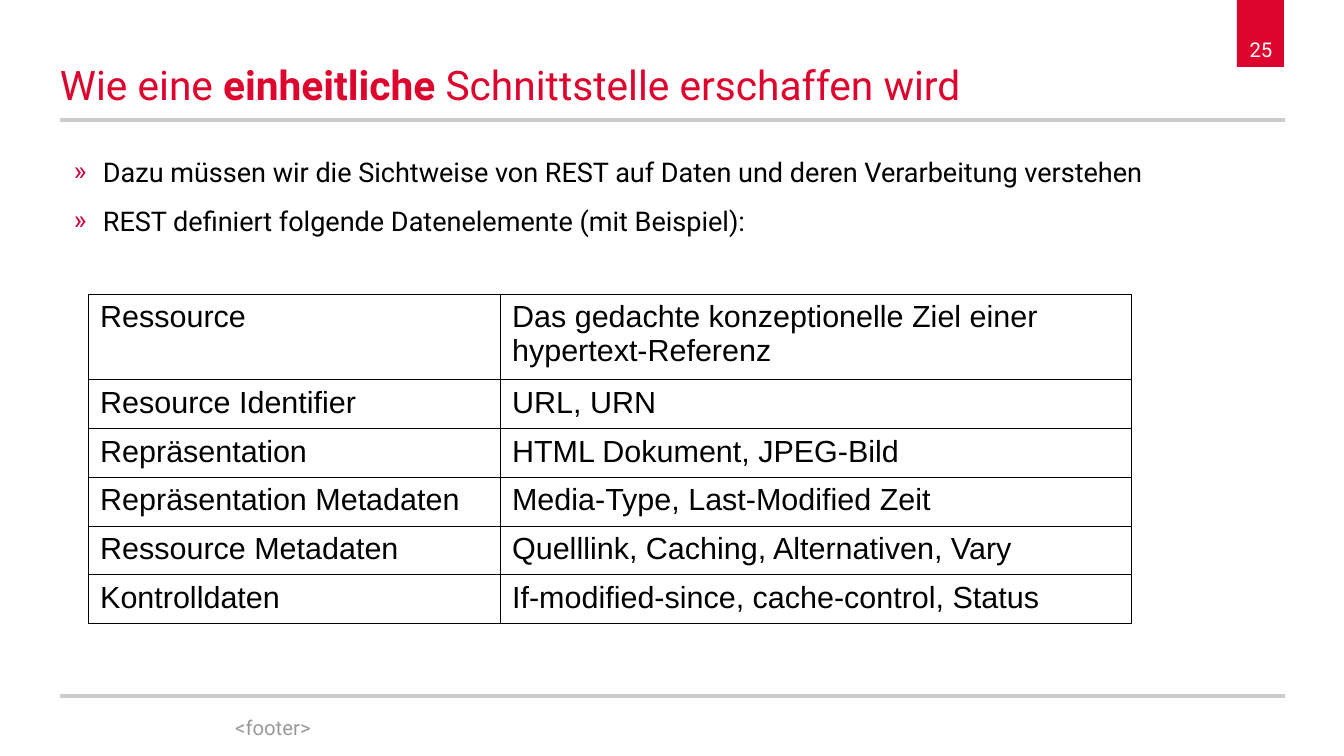
from lxml.etree import SubElement
from pptx import Presentation
from pptx.dml.color import RGBColor
from pptx.enum.shapes import MSO_CONNECTOR, MSO_SHAPE
from pptx.enum.text import MSO_ANCHOR as ANCHOR, PP_ALIGN as ALIGN
from pptx.oxml.ns import qn
from pptx.util import Emu, Pt

RED = RGBColor(0xDD, 0x04, 0x2D)
BULLET_RED = RGBColor(0xD0, 0x00, 0x3A)
RULE_GREY = RGBColor(0xCC, 0xCC, 0xCC)
FOOTER_GREY = RGBColor(0x99, 0x99, 0x99)
BLACK = RGBColor(0, 0, 0)
WHITE = RGBColor(0xFF, 0xFF, 0xFF)

PX = 914400 / 122
WIDTH, HEIGHT = 1344, 756
LEFT, RIGHT = 60, 1285
CONTENT_WIDTH = RIGHT - LEFT

TITLE = [("Wie eine ", False), ("einheitliche", True),
         (" Schnittstelle erschaffen wird", False)]
POINTS = [
    "Dazu müssen wir die Sichtweise von REST auf Daten und deren Verarbeitung verstehen",
    "REST definiert folgende Datenelemente (mit Beispiel):",
]
DATA_ELEMENTS = [
    ("Ressource", "Das gedachte konzeptionelle Ziel einer hypertext-Referenz"),
    ("Resource Identifier", "URL, URN"),
    ("Repräsentation", "HTML Dokument, JPEG-Bild"),
    ("Repräsentation Metadaten", "Media-Type, Last-Modified Zeit"),
    ("Ressource Metadaten", "Quelllink, Caching, Alternativen, Vary"),
    ("Kontrolldaten", "If-modified-since, cache-control, Status"),
]


def px(*lengths):
    return [Emu(round(length * PX)) for length in lengths]


class SlideBuilder:
    font = "Roboto"
    table_font = "Arial"

    def __init__(self, slide):
        self.slide = slide
        self.shapes = slide.shapes

    def style(self, run, size, color, font=None, bold=False):
        run.font.name = font or self.font
        run.font.size = Pt(size)
        run.font.color.rgb = color
        run.font.bold = bold

    def prepare_frame(self, frame, anchor):
        frame.word_wrap = True
        frame.vertical_anchor = anchor
        frame.margin_left = frame.margin_right = 0
        frame.margin_top = frame.margin_bottom = 0

    def title(self, parts, x, y, w, h):
        heading = self.shapes.title
        heading.left, heading.top, heading.width, heading.height = px(x, y, w, h)
        self.prepare_frame(heading.text_frame, ANCHOR.MIDDLE)
        paragraph = heading.text_frame.paragraphs[0]
        paragraph.alignment = ALIGN.LEFT
        for text, bold in parts:
            run = paragraph.add_run()
            run.text = text
            self.style(run, 24, RED, bold=bold)

    def block(self, x, y, w, h, color):
        block = self.shapes.add_shape(MSO_SHAPE.RECTANGLE, *px(x, y, w, h))
        block.shadow.inherit = False
        block.fill.solid()
        block.fill.fore_color.rgb = color
        block.line.fill.background()

    def rule(self, y):
        rule = self.shapes.add_connector(MSO_CONNECTOR.STRAIGHT, *px(LEFT, y, RIGHT, y))
        rule.line.color.rgb = RULE_GREY
        rule.line.width = Pt(0)
        SubElement(rule._element.spPr, qn("a:effectLst"))

    def text(self, lines, x, y, w, h, size, color, align=ALIGN.LEFT, anchor=ANCHOR.TOP):
        frame = self.shapes.add_textbox(*px(x, y, w, h)).text_frame
        self.prepare_frame(frame, anchor)
        frame.text = "\n".join(lines)
        for paragraph in frame.paragraphs:
            paragraph.alignment = align
            self.style(paragraph.runs[0], size, color)
        return frame

    def bullets(self, points, x, y, w, h):
        margin, indent = px(43, -29)
        for paragraph in self.text(points, x, y, w, h, 16, BLACK).paragraphs:
            paragraph.line_spacing = 1.5
            props = paragraph._p.get_or_add_pPr()
            props.set("marL", str(margin))
            props.set("indent", str(indent))
            bullet_color = SubElement(props, qn("a:buClr"))
            SubElement(bullet_color, qn("a:srgbClr"), val=str(BULLET_RED))
            SubElement(props, qn("a:buFont"), typeface=self.font)
            SubElement(props, qn("a:buChar"), char="»")

    def table(self, rows, x, y, col_widths, row_height):
        frame = self.shapes.add_table(
            len(rows), len(col_widths),
            *px(x, y, sum(col_widths), row_height * len(rows)))
        table = frame.table
        table.first_row = table.horz_banding = False
        for column, width in zip(table.columns, px(*col_widths)):
            column.width = width
        for row, values in zip(table.rows, rows):
            row.height = px(row_height)[0]
            for cell, value in zip(row.cells, values):
                cell.text_frame.text = value
                self.style(cell.text_frame.paragraphs[0].runs[0], 18, BLACK,
                           self.table_font)
                self.cell_borders(cell)
                cell.fill.background()

    def cell_borders(self, cell):
        props = cell._tc.get_or_add_tcPr()
        for side in ("a:lnL", "a:lnR", "a:lnT", "a:lnB"):
            border = SubElement(props, qn(side), w=str(Pt(0.57)))
            fill = SubElement(border, qn("a:solidFill"))
            SubElement(fill, qn("a:srgbClr"), val=str(BLACK))


def main():
    deck = Presentation()
    deck.slide_width, deck.slide_height = px(WIDTH, HEIGHT)
    page = SlideBuilder(deck.slides.add_slide(deck.slide_layouts[5]))

    page.block(1237, 0, 47, 67, RED)
    page.rule(120)
    page.text(["25"], 1242, 15, 38, 47, 12, WHITE, ALIGN.CENTER, ANCHOR.BOTTOM)
    page.rule(696)
    page.text(["<footer>"], LEFT, 715, 426, 24, 12, FOOTER_GREY,
              ALIGN.CENTER, ANCHOR.MIDDLE)
    page.title(TITLE, LEFT, 48, CONTENT_WIDTH, 72)
    page.bullets(POINTS, LEFT, 139, CONTENT_WIDTH, 96)
    page.table(DATA_ELEMENTS, 88, 294, (412, 631), 45)

    deck.save("out.pptx")


if __name__ == "__main__":
    main()
